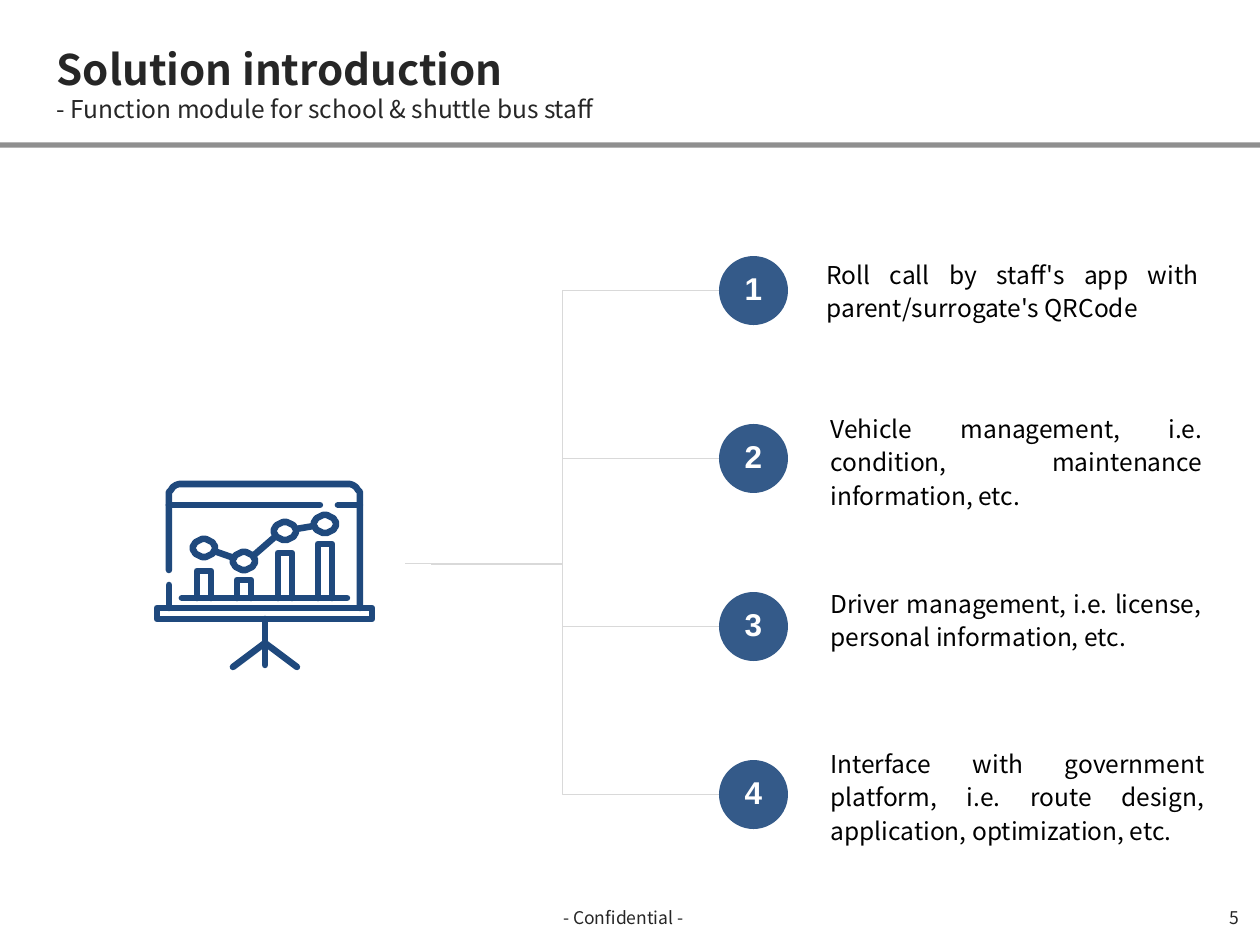
import math

import lxml.etree
import pptx
import pptx.dml.color
import pptx.enum.shapes
import pptx.enum.text
import pptx.oxml.ns
import pptx.util

PX = 914400 / 126
COLORS = {
    "ink": "262626",
    "text": "000000",
    "navy": "1F497D",
    "branch": "D9D9D9",
    "white": "FFFFFF",
}
SANS = "Noto Sans CJK SC"
ALIGN = pptx.enum.text.PP_ALIGN
ANCHOR = pptx.enum.text.MSO_ANCHOR
CONNECTOR = pptx.enum.shapes.MSO_CONNECTOR
qn = pptx.oxml.ns.qn


def emu(*lengths):
    return [pptx.util.Emu(round(length * PX)) for length in lengths]


def rgb(name):
    return pptx.dml.color.RGBColor.from_string(COLORS[name])


def set_alpha(element, percent):
    color = element.find(".//" + qn("a:srgbClr"))
    lxml.etree.SubElement(color, qn("a:alpha"), val=str(percent * 1000))


class SlideWriter:
    def __init__(self, page):
        self.page = page
        self.shapes = page.shapes

    def style(self, para, size, color, font=SANS, bold=False, align=ALIGN.LEFT, spacing=1.0):
        para.alignment = align
        para.line_spacing = spacing
        para.font.name = font
        para.font.size = pptx.util.Pt(size)
        para.font.bold = bold
        para.font.color.rgb = rgb(color)

    def title(self, bounds, heading, subtitle):
        box = self.shapes.title
        box.left, box.top, box.width, box.height = emu(*bounds)
        frame = box.text_frame
        frame.auto_size = pptx.enum.text.MSO_AUTO_SIZE.NONE
        frame.vertical_anchor = ANCHOR.TOP
        para = frame.paragraphs[0]
        self.style(para, 24, "ink")
        for text, size, bold in ((heading, 24, True), (subtitle, 14, False)):
            if para.runs:
                para.add_line_break()
            span = para.add_run()
            span.text = text
            span.font.size = pptx.util.Pt(size)
            span.font.bold = bold

    def text(self, bounds, text, size, color, anchor=ANCHOR.TOP, **style):
        frame = self.shapes.add_textbox(*emu(*bounds)).text_frame
        frame.word_wrap = True
        frame.vertical_anchor = anchor
        para = frame.paragraphs[0]
        para.text = text
        self.style(para, size, color, **style)

    def badge(self, left, top, size, label):
        oval = self.shapes.add_shape(
            pptx.enum.shapes.MSO_SHAPE.OVAL, *emu(left, top, size, size))
        oval.shadow.inherit = False
        oval.fill.solid()
        oval.fill.fore_color.rgb = rgb("navy")
        set_alpha(oval.fill._xPr.find(qn("a:solidFill")), 90)
        oval.line.fill.background()
        frame = oval.text_frame
        frame.word_wrap = False
        frame.vertical_anchor = ANCHOR.MIDDLE
        para = frame.paragraphs[0]
        para.text = label
        self.style(para, 18, "white", "Arial", True, ALIGN.CENTER, 0.9)

    def connector(self, kind, start, end, color, width):
        line = self.shapes.add_connector(kind, *emu(*start, *end))
        line.line.color.rgb = rgb(color)
        line.line.width = pptx.util.Pt(width)
        lxml.etree.SubElement(line._element.spPr, qn("a:effectLst"))
        return line

    def rule(self, start, end, color, width, alpha):
        line = self.connector(CONNECTOR.STRAIGHT, start, end, color, width)
        set_alpha(line._element.spPr, alpha)

    def branch(self, start, end, bend_x):
        line = self.connector(CONNECTOR.ELBOW, start, end, "branch", 0.25)
        share = (start[0] - bend_x) / (start[0] - end[0])
        guides = line._element.spPr.find(qn("a:prstGeom")).get_or_add_avLst()
        lxml.etree.SubElement(
            guides, qn("a:gd"), name="adj1", fmla=f"val {round(share * 100000)}")

    def strokes(self, paths, color, width):
        builder = self.shapes.build_freeform(*paths[0][0], scale=PX)
        for path in paths:
            builder.move_to(*path[0])
            builder.add_line_segments(path[1:], close=False)
        icon = builder.convert_to_shape()
        icon.shadow.inherit = False
        icon.fill.background()
        icon.line.color.rgb = rgb(color)
        icon.line.width = pptx.util.Pt(width)
        outline = icon.line._get_or_add_ln()
        outline.set("cap", "rnd")
        lxml.etree.SubElement(outline, qn("a:round"))


def arc(center, radii, first, last, steps):
    angles = [math.radians(first + (last - first) * i / steps) for i in range(steps + 1)]
    return [(center[0] + radii[0] * math.cos(a), center[1] + radii[1] * math.sin(a))
            for a in angles]


def chart_board_paths():
    nodes = [(204, 548), (244, 561), (285, 531), (325, 524)]
    bar_tops = [571, 580, 553, 544]
    left, right, top, base = 169, 360, 484, 608

    # Screen with rounded top corners, and its header line
    corners = arc((183, top + 11), (14, 11), 180, 270, 6)
    corners += arc((346, top + 11), (14, 11), 270, 360, 6)
    paths = [
        [(left, 570)] + corners + [(right, base)],
        [(left, 585), (left, base)],
        [(left, 505), (320, 505)],
        [(338, 505), (right, 505)],
    ]
    # Ledge and tripod
    paths += [
        [(157, base), (372, base), (372, 619), (157, 619), (157, base)],
        [(265, 619), (265, 665)],
        [(233, 667), (265, 643), (297, 667)],
    ]
    # Bars and their baseline
    paths.append([(182, 598), (347, 598)])
    for (x, _), bar_top in zip(nodes, bar_tops):
        paths.append([(x - 7, 598), (x - 7, bar_top), (x + 7, bar_top), (x + 7, 598)])
    # Trend nodes, joined edge to edge
    radii = (11, 9)
    paths += [arc(node, radii, 0, 360, 32) for node in nodes]
    for (x1, y1), (x2, y2) in zip(nodes, nodes[1:]):
        angle = math.atan2(y2 - y1, x2 - x1)
        dx, dy = radii[0] * math.cos(angle), radii[1] * math.sin(angle)
        paths.append([(x1 + dx, y1 + dy), (x2 - dx, y2 - dy)])
    return paths


def main():
    deck = pptx.Presentation()
    deck.slide_width, deck.slide_height = emu(1260, 945)
    writer = SlideWriter(deck.slides.add_slide(deck.slide_layouts[5]))

    # Header and footer
    writer.rule((0, 145), (1260, 145), "text", 3, 44)
    writer.title((44, 37, 1134, 86), "Solution introduction",
                 "- Function module for school & shuttle bus staff")
    writer.text((551, 901, 228, 34), "- Confidential -", 10, "ink")
    writer.text((959, 893, 293, 50), "5", 10, "ink", ANCHOR.MIDDLE, align=ALIGN.RIGHT)

    # Numbered modules branching from the hub
    hub, short_hub = (405, 563), (431, 564)
    modules = [
        ((814, 249, 397, 81), hub, "Roll call by staff's app with parent/surrogate's QRCode"),
        ((818, 403, 397, 112), short_hub,
         "Vehicle management, i.e. condition, maintenance information, etc."),
        ((818, 578, 396, 78), hub,
         "Driver management, i.e. license, personal information, etc."),
        ((818, 738, 399, 115), hub,
         "Interface with government platform, i.e. route design, application, optimization, etc."),
    ]
    badge_left, badge_top, badge_size, pitch = 719, 256, 69, 168
    for index, (bounds, end, text) in enumerate(modules):
        top = badge_top + index * pitch
        writer.branch((badge_left, top + badge_size // 2), end, 562)
        writer.badge(badge_left, top, badge_size, str(index + 1))
        writer.text(bounds, text, 14, "text", align=ALIGN.JUSTIFY, spacing=1.15)

    # Chart board icon
    writer.strokes(chart_board_paths(), "navy", 3.75)

    deck.save("out.pptx")


if __name__ == "__main__":
    main()
